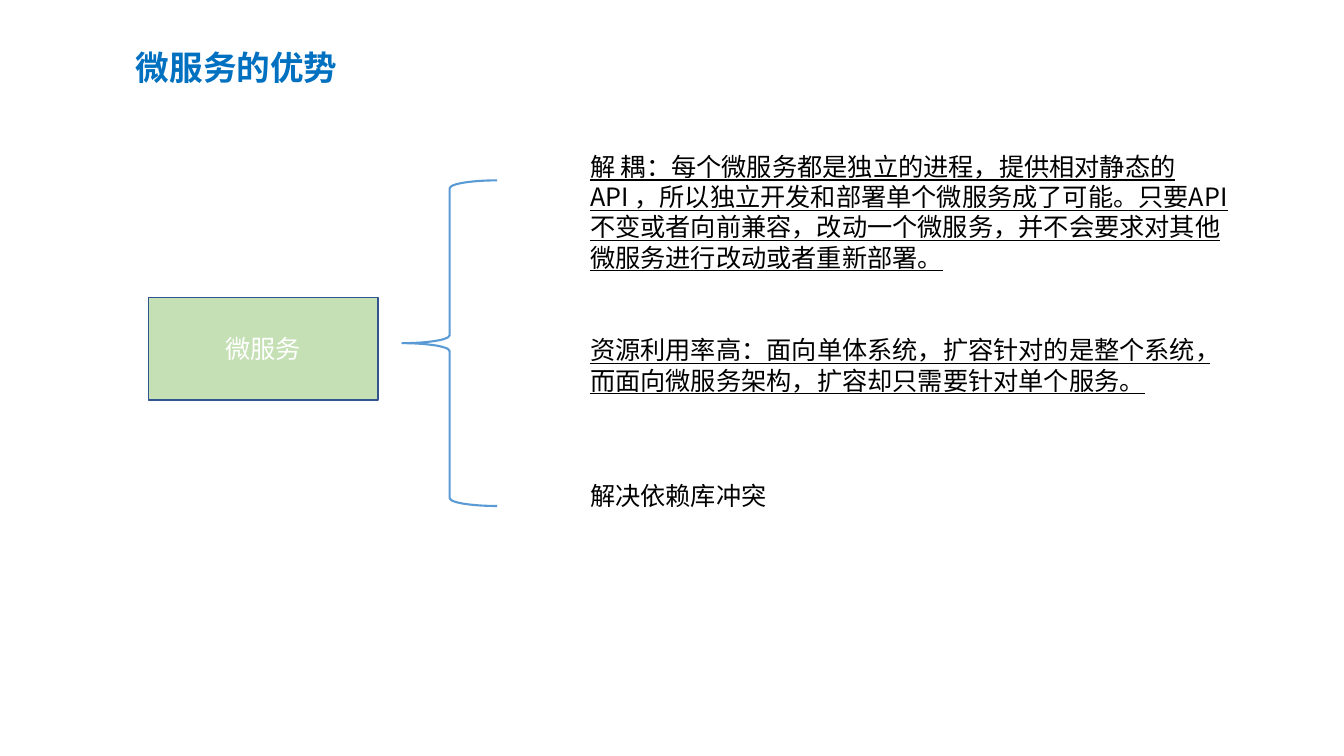
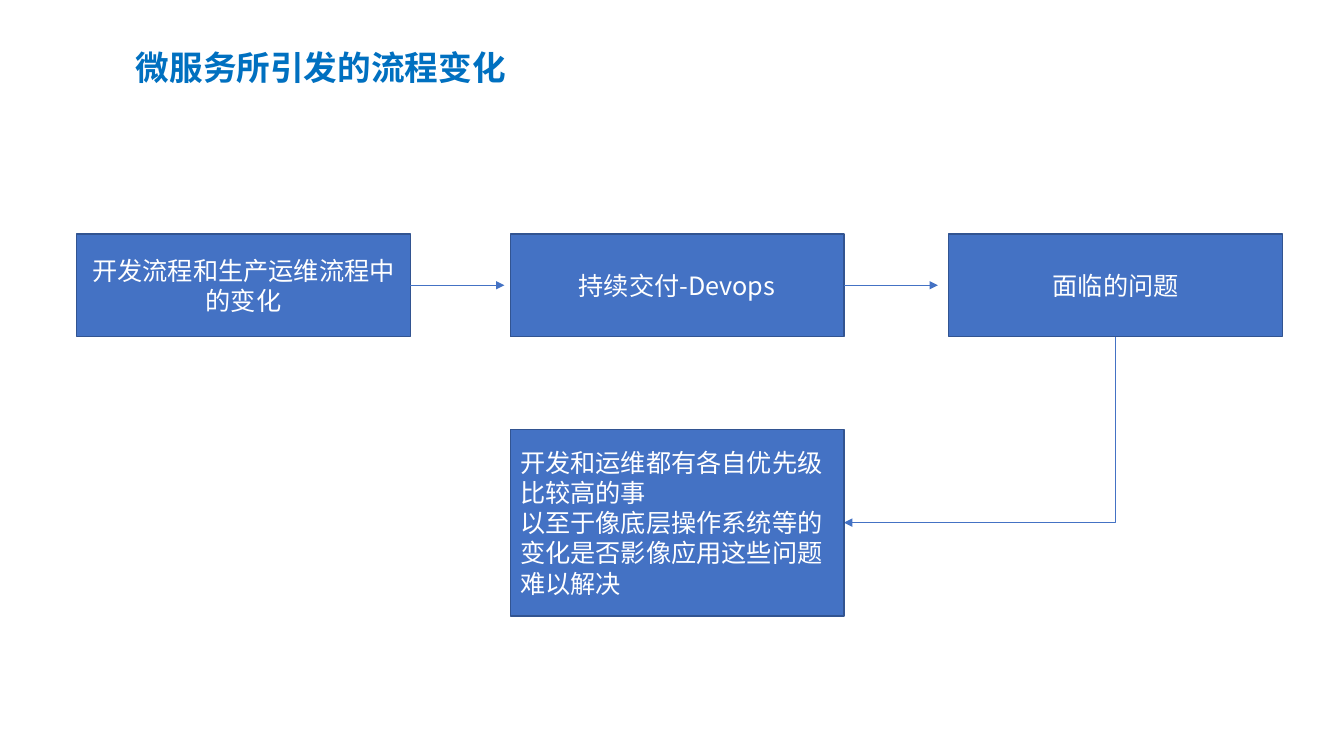
from collections import namedtuple
from lxml.etree import SubElement
from pptx import Presentation
from pptx.dml.color import RGBColor
from pptx.enum.shapes import MSO_CONNECTOR, MSO_SHAPE
from pptx.enum.text import MSO_ANCHOR, PP_ALIGN
from pptx.oxml.ns import qn
from pptx.util import Inches, Pt

FONT = "Noto Sans CJK SC"
TITLE = RGBColor(0x00, 0x70, 0xC0)
BLACK = RGBColor(0x00, 0x00, 0x00)
WHITE = RGBColor(0xFF, 0xFF, 0xFF)
GREEN = RGBColor(0xC5, 0xE0, 0xB4)
BLUE = RGBColor(0x44, 0x72, 0xC4)
EDGE = RGBColor(0x32, 0x54, 0x91)
BRACE = RGBColor(0x5B, 0x9B, 0xD5)

Box = namedtuple("Box", "x y w h")
PAGE = Box(0, 0, Inches(13.33), Inches(7.5))


def part(box, x, y, w, h):
    """Sub-box given in percent of its parent."""
    return Box(int(box.x + box.w * x / 100), int(box.y + box.h * y / 100),
               int(box.w * w / 100), int(box.h * h / 100))


HEAD = part(PAGE, 9.38, 5.07, 86.1, 8.13)
BODY = part(PAGE, 0, 16, 100, 84)


def write(shape, lines, color, size=18, bold=None, under=None,
          align=PP_ALIGN.LEFT, anchor=MSO_ANCHOR.MIDDLE, space=None):
    frame = shape.text_frame
    frame.word_wrap = True
    frame.vertical_anchor = anchor
    frame.text = "\n".join(lines)
    for para in frame.paragraphs:
        para.alignment = align
        para.line_spacing = space
        font = para.font
        font.size, font.bold, font.underline = Pt(size), bold, under
        font.color.rgb = color
        font.name = FONT
        # East Asian typeface
        SubElement(para._p.pPr.find(qn("a:defRPr")), qn("a:ea"), typeface=FONT)


def label(slide, box, text, color=BLACK, **style):
    write(slide.shapes.add_textbox(*box), [text], color, **style)


def node(slide, box, *lines, fill=BLUE, align=PP_ALIGN.CENTER):
    shape = slide.shapes.add_shape(MSO_SHAPE.FLOWCHART_PROCESS, *box)
    shape.shadow.inherit = False
    shape.fill.solid()
    shape.fill.fore_color.rgb = fill
    shape.line.color.rgb = EDGE
    shape.line.width = Pt(1)
    write(shape, lines, WHITE, align=align)


def arrow(slide, kind, x1, y1, x2, y2):
    link = slide.shapes.add_connector(kind, x1, y1, x2, y2)
    link.line.color.rgb = BLUE
    link.line.width = Pt(0.5)
    props = link._element.spPr
    SubElement(props.find(qn("a:ln")), qn("a:tailEnd"), type="triangle")
    SubElement(props, qn("a:effectLst"))
    return props


def corner(slide, x1, y1, x2, y2):
    """Arrow that goes down, then left."""
    drop, run = y2 - y1, x1 - x2
    left, top = (x1 + x2 - drop) // 2, (y1 + y2 - run) // 2
    props = arrow(slide, MSO_CONNECTOR.ELBOW, left, top, left + drop, top + run)
    props.find(qn("a:xfrm")).set("rot", str(90 * 60000))
    props.find(qn("a:prstGeom")).set("prst", "bentConnector2")


def start(deck, title):
    slide = deck.slides.add_slide(deck.slide_layouts[6])
    label(slide, HEAD, title, TITLE, size=24, bold=True, space=0.9)
    return slide


def merits(slide, box):
    # Subject and brace
    node(slide, part(box, 11.03, 27.78, 17.1, 16.19), "微服务", fill=GREEN)
    brace = slide.shapes.add_shape(MSO_SHAPE.LEFT_BRACE,
                                   *part(box, 29.93, 9.37, 7.05, 51.27))
    brace.shadow.inherit = False
    brace.fill.background()
    brace.line.color.rgb = BRACE
    brace.line.width = Pt(1.5)
    # Merits
    items = [
        (3.97, 49.96, 20.79, True,
         "解 耦：每个微服务都是独立的进程，提供相对静态的API ，所以独立开发和部署单个微服务成了可能。"
         "只要API 不变或者向前兼容，改动一个微服务，并不会要求对其他微服务进行改动或者重新部署。"),
        (32.86, 47.56, 11.27, True,
         "资源利用率高：面向单体系统，扩容针对的是整个系统，"
         "而面向微服务架构，扩容却只需要针对单个服务。"),
        (55.87, 22.5, 6.35, None, "解决依赖库冲突"),
    ]
    for y, w, h, under, text in items:
        label(slide, part(box, 43.17, y, w, h), text, under=under,
              anchor=MSO_ANCHOR.TOP)


def flow(slide, box):
    # Steps in a row
    steps = [(5.7, "开发流程和生产运维流程中的变化"),
             (37.96, "持续交付-Devops"),
             (70.59, "面临的问题")]
    cells = [part(box, x, 17.78, 24.83, 16.19) for x, _ in steps]
    for cell, (_, text) in zip(cells, steps):
        node(slide, cell, text)
    for cell in cells[:-1]:
        x, y = cell.x + cell.w, cell.y + cell.h // 2
        arrow(slide, MSO_CONNECTOR.STRAIGHT, x, y, x + int(box.w * 0.07), y)
    # Problem under the middle step
    last = cells[-1]
    issue = part(box, 37.96, 48.57, 24.83, 29.37)
    corner(slide, last.x + last.w // 2, last.y + last.h,
           issue.x + issue.w, issue.y + issue.h // 2)
    node(slide, issue, "开发和运维都有各自优先级比较高的事",
         "以至于像底层操作系统等的变化是否影像应用这些问题难以解决",
         align=PP_ALIGN.LEFT)


def main():
    deck = Presentation()
    deck.slide_width, deck.slide_height = PAGE.w, PAGE.h
    merits(start(deck, "微服务的优势"), BODY)
    flow(start(deck, "微服务所引发的流程变化"), BODY)
    deck.save("out.pptx")


if __name__ == "__main__":
    main()
